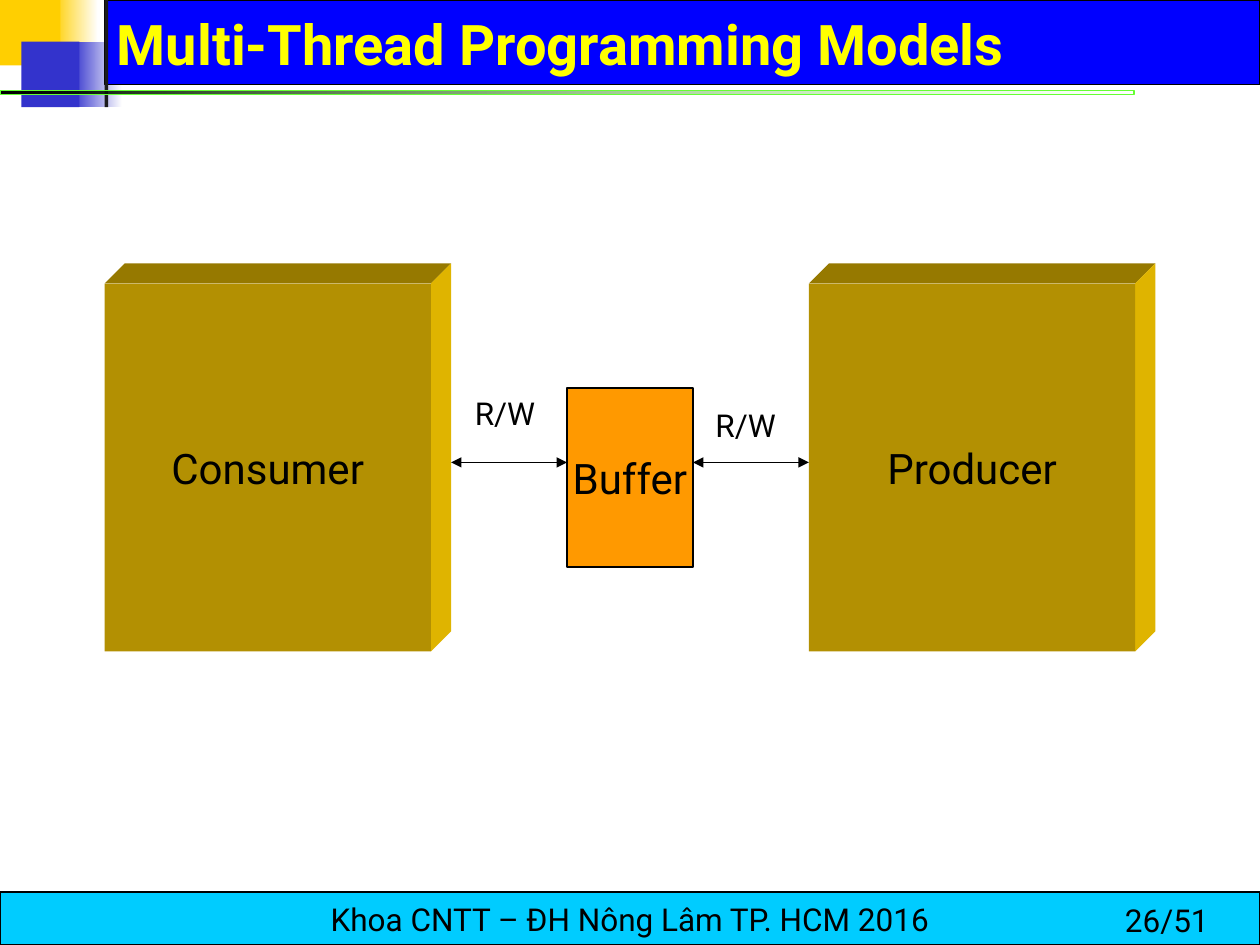
from lxml.etree import SubElement
from pptx import Presentation
from pptx.dml.color import RGBColor
from pptx.enum.shapes import MSO_CONNECTOR, MSO_SHAPE
from pptx.enum.text import MSO_ANCHOR, PP_ALIGN
from pptx.oxml.ns import qn
from pptx.util import Inches, Pt

FONT = "Roboto"
BLACK = RGBColor(0x00, 0x00, 0x00)
WHITE = RGBColor(0xFF, 0xFF, 0xFF)
CHARCOAL = RGBColor(0x1C, 0x1C, 0x1C)
GOLD = RGBColor(0xFF, 0xCF, 0x01)
INDIGO = RGBColor(0x33, 0x33, 0xCC)
BLUE = RGBColor(0x00, 0x00, 0xFF)
GREEN = RGBColor(0x66, 0xFF, 0x33)
CYAN = RGBColor(0x00, 0xCC, 0xFF)
YELLOW = RGBColor(0xFF, 0xFF, 0x00)
ORANGE = RGBColor(0xFF, 0x99, 0x00)
FRONT_FACE = RGBColor(0xB3, 0x90, 0x02)
TOP_FACE = RGBColor(0x96, 0x79, 0x00)
SIDE_FACE = RGBColor(0xDF, 0xB4, 0x00)

# Left, top, width, height; fill (a list is a gradient); outline colour and width
DECORATION = [
    ((0.42, 0, 0.36, 0.52), [GOLD, WHITE], None),
    ((0.57, 0.33, 0.40, 0.52), [INDIGO, WHITE], None),
    ((0.83, 0, 9.17, 0.67), BLUE, (BLACK, 0.75)),
    ((0, 0, 0.48, 0.52), GOLD, None),
    ((0.17, 0.33, 0.46, 0.52), INDIGO, None),
    ((0.83, 0, 0.03, 0.85), CHARCOAL, None),
    ((0, 0.72, 9, 0.03), [BLACK, GREEN], (GREEN, 0)),
]
GREEN_RULE_END_ALPHA = "0"
FOOTER_BAR = (0, 7.08, 10, 0.42)
FOOTER = "Khoa CNTT – ĐH Nông Lâm TP. HCM 2016"
TITLE = "Multi-Thread Programming Models"
LABELS = [
    ("26/51", (8.83, 7.1, 1.17, 0.4)),
    ("R/W", (3.67, 3.08, 0.75, 0.4)),
    ("R/W", (5.58, 3.17, 0.75, 0.4)),
]
BLOCKS = [("Consumer", 0.83), ("Producer", 6.42)]
BLOCK_TOP, BLOCK_WIDTH, BLOCK_HEIGHT, BLOCK_DEPTH = 2.25, 2.59, 2.92, 0.16
BUFFER = (4.5, 3.08, 1, 1.42)
ARROWS = [(3.58, 4.5), (5.5, 6.42)]
ARROW_Y = 3.67


def paint(shape, fill, outline=None):
    shape.shadow.inherit = False
    if isinstance(fill, list):
        shape.fill.gradient()
        shape.fill.gradient_angle = 0
        for stop, colour in zip(shape.fill.gradient_stops, fill):
            stop.color.rgb = colour
    else:
        shape.fill.solid()
        shape.fill.fore_color.rgb = fill
    if outline:
        colour, width = outline
        shape.line.color.rgb = colour
        shape.line.width = Pt(width)
    else:
        shape.line.fill.background()


def fade_out(shape):
    """Make the last gradient stop transparent."""
    last_colour = shape._element.spPr.findall(".//" + qn("a:gs"))[-1][0]
    SubElement(last_colour, qn("a:alpha"), val=GREEN_RULE_END_ALPHA)


def write(shape, text, size, colour=BLACK, bold=False, align=PP_ALIGN.CENTER,
          anchor=MSO_ANCHOR.MIDDLE, wrap=False):
    frame = shape.text_frame
    frame.word_wrap = wrap
    frame.vertical_anchor = anchor
    para = frame.paragraphs[0]
    para.alignment = align
    span = para.add_run()
    span.text = text
    span.font.name = FONT
    span.font.size = Pt(size)
    span.font.bold = bold
    span.font.color.rgb = colour


def add_box(page, place, fill, outline=None):
    box = page.shapes.add_shape(MSO_SHAPE.RECTANGLE, *map(Inches, place))
    paint(box, fill, outline)
    return box


def add_label(page, text, place, size=18, **style):
    box = page.shapes.add_textbox(*map(Inches, place))
    write(box, text, size, align=PP_ALIGN.LEFT, wrap=True, **style)


def add_face(page, points, fill):
    corners = [(Inches(x), Inches(y)) for x, y in points]
    builder = page.shapes.build_freeform(*corners[0])
    builder.add_line_segments(corners[1:], close=True)
    paint(builder.convert_to_shape(), fill)


def add_block(page, name, left):
    """Draw a front face with a top and a right face receding behind it."""
    top, depth = BLOCK_TOP, BLOCK_DEPTH
    right, bottom = left + BLOCK_WIDTH, top + BLOCK_HEIGHT
    back_right = (right + depth, top - depth)
    add_face(page, [(left, top), (left + depth, top - depth), back_right, (right, top)],
             TOP_FACE)
    add_face(page, [(right, top), back_right, (right + depth, bottom - depth),
                    (right, bottom)], SIDE_FACE)
    front = add_box(page, (left, top, BLOCK_WIDTH, BLOCK_HEIGHT), FRONT_FACE)
    write(front, name, 24)


def add_double_arrow(page, start, end):
    arrow = page.shapes.add_connector(MSO_CONNECTOR.STRAIGHT, Inches(start),
                                      Inches(ARROW_Y), Inches(end), Inches(ARROW_Y))
    arrow.line.color.rgb = BLACK
    arrow.line.width = Pt(0.75)
    line = arrow.line._get_or_add_ln()
    for tip in ("a:headEnd", "a:tailEnd"):
        SubElement(line, qn(tip), type="triangle")
    SubElement(arrow._element.spPr, qn("a:effectLst"))


def main():
    deck = Presentation()
    deck.slide_width, deck.slide_height = Inches(10), Inches(7.5)
    page = deck.slides.add_slide(deck.slide_layouts[6])

    for place, fill, outline in DECORATION:
        box = add_box(page, place, fill, outline)
    fade_out(box)
    write(add_box(page, FOOTER_BAR, CYAN, (BLACK, 0.75)), FOOTER, 18)
    add_label(page, TITLE, (0.83, 0.08, 8.94, 0.58), 32, colour=YELLOW, bold=True,
              anchor=MSO_ANCHOR.BOTTOM)

    for name, left in BLOCKS:
        add_block(page, name, left)
    write(add_box(page, BUFFER, ORANGE, (BLACK, 0.75)), "Buffer", 24)
    for start, end in ARROWS:
        add_double_arrow(page, start, end)
    for text, place in LABELS:
        add_label(page, text, place, anchor=MSO_ANCHOR.TOP)

    deck.save("out.pptx")


if __name__ == "__main__":
    main()
